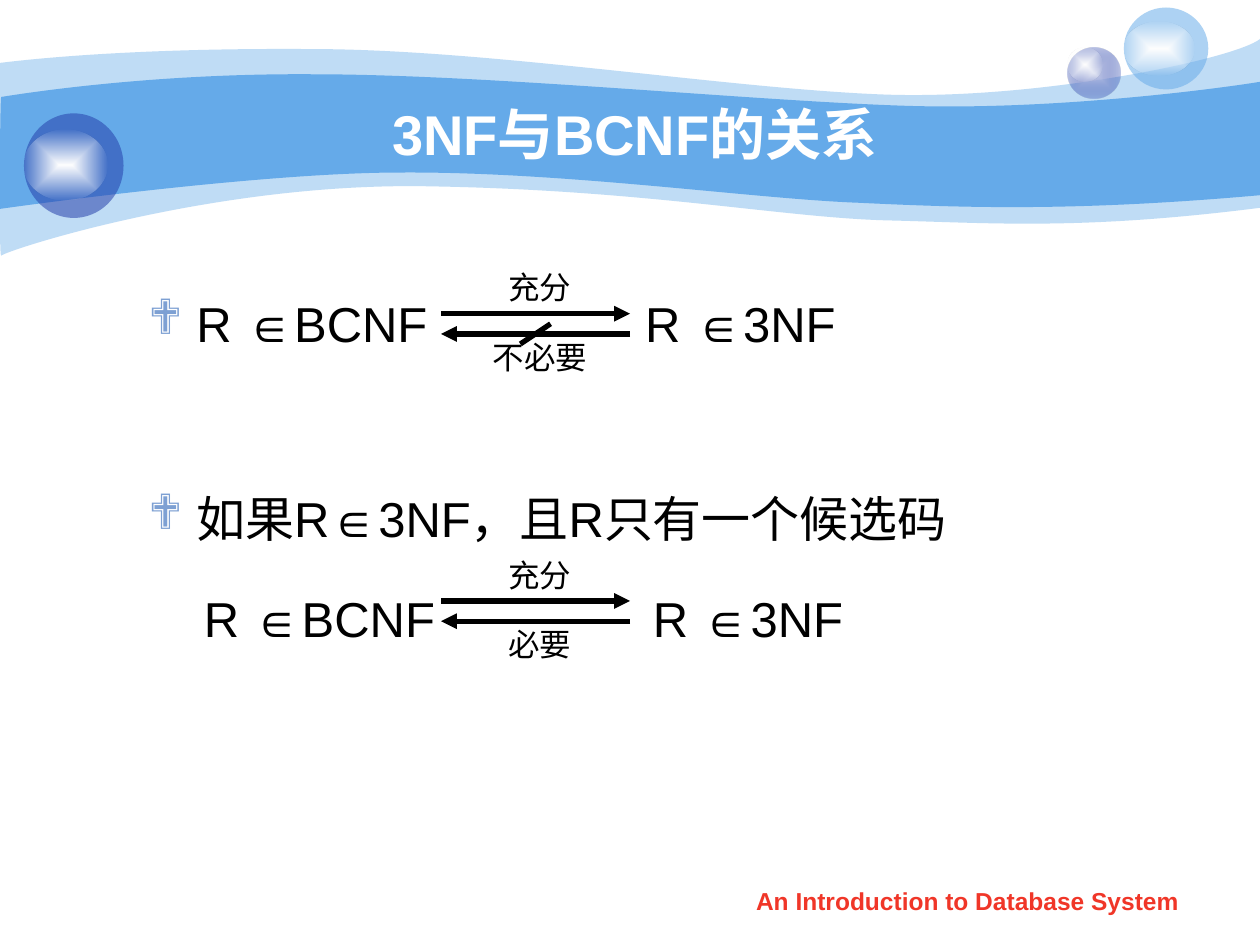
from lxml.etree import SubElement
from pptx import Presentation
from pptx.dml.color import RGBColor
from pptx.enum.shapes import MSO_CONNECTOR as Connector, MSO_SHAPE as Shape
from pptx.enum.text import MSO_ANCHOR as Anchor, PP_ALIGN as Align
from pptx.oxml.ns import qn
from pptx.util import Inches, Pt

SKY = RGBColor(0x65, 0xAA, 0xE9)
NAVY = RGBColor(0x23, 0x3D, 0xA9)
LILAC = RGBColor(0xC7, 0xCE, 0xE9)
BULLET = RGBColor(0x7D, 0xA0, 0xD3)
RED = RGBColor(0xF0, 0x36, 0x28)
WHITE = RGBColor(0xFF, 0xFF, 0xFF)
BLACK = RGBColor(0, 0, 0)
FONT = "Arial"

WAVES = [
    (41, (0, 0.5), [
        (0.24, 0.47, 1.07, 0.38, 2.47, 0.39), (3.86, 0.39, 5.75, 0.7, 6.99, 0.75),
        (8.22, 0.8, 9.8, 0.47, 10, 0.31), (10, 1.65),
        (8.58, 1.83, 7.87, 1.77, 7.05, 1.75), (6.22, 1.73, 5.15, 1.51, 3.43, 1.48),
        (1.72, 1.44, 0.04, 1.99, 0.01, 2.03), (-0.01, 2.08, 0, 0.75, 0, 0.5)]),
    (100, (0.01, 0.77), [
        (0.02, 0.77, 1.1, 0.58, 2.48, 0.59), (3.86, 0.59, 5.95, 0.8, 7.18, 0.84),
        (8.41, 0.88, 9.76, 0.69, 10, 0.65), (10, 1.55),
        (8.53, 1.68, 7.65, 1.65, 6.82, 1.61), (5.99, 1.58, 4.47, 1.36, 3.17, 1.37),
        (2.03, 1.37, -0.02, 1.66, -0.01, 1.66), (0, 1.66, 0, 0.77, 0.01, 0.77)]),
]
GLOW = [(WHITE, 100), (WHITE, 0)]
BUBBLES = [
    ((8.47, 0.38, 0.42, 0.4), [(LILAC, 100), (NAVY, 31)]),
    ((8.47, 0.38, 0.28, 0.27), GLOW),
    ((8.92, 0.06, 0.67, 0.65), [(SKY, 53)]),
    ((8.92, 0.17, 0.56, 0.43), GLOW),
    ((0.19, 0.9, 0.79, 0.83), [(NAVY, 53)]),
    ((0.19, 1.03, 0.66, 0.56), GLOW),
]
TITLE = "3NF与BCNF的关系"
FOOTER = "An Introduction to Database System"
BOTH_SIDES = ("R ∈BCNF", "R ∈3NF")
STATEMENTS = [
    dict(parts=BOTH_SIDES, spacing=1.4, before=7, bullet=True),
    dict(parts=("如果R∈3NF，且R只有一个候选码",), spacing=1.5, before=61, bullet=True),
    dict(parts=BOTH_SIDES, spacing=1.5, before=7, indent=0.44),
]
ARROW_SPACE = Pt(116.7)
IMPLICATIONS = [
    dict(top=2.49, forward="充分", backward="不必要", refuted=True),
    dict(top=4.77, forward="充分", backward="必要", refuted=False),
]
ARROW_LEFT, ARROW_RIGHT, ARROW_GAP = 3.5, 5, 0.16


def add_color(parent, color, alpha=100):
    node = SubElement(parent, qn("a:srgbClr"), val=str(color))
    if alpha < 100:
        SubElement(node, qn("a:alpha"), val=str(alpha * 1000))


def paint(shape, stops):
    shape.shadow.inherit = False
    shape.line.fill.background()
    shape.fill.solid()
    solid = shape._element.spPr.find(qn("a:solidFill"))
    if len(stops) == 1:
        add_color(solid, *stops[0])
        return
    gradient = solid.makeelement(qn("a:gradFill"), rotWithShape="1")
    stop_list = SubElement(gradient, qn("a:gsLst"))
    for position, stop in zip((0, 100000), stops):
        add_color(SubElement(stop_list, qn("a:gs"), pos=str(position)), *stop)
    center = SubElement(gradient, qn("a:path"), path="rect")
    SubElement(center, qn("a:fillToRect"), l="50000", t="50000", r="50000", b="50000")
    solid.getparent().replace(solid, gradient)


def add_wave(page, alpha, start, segments):
    builder = page.shapes.build_freeform(*map(Inches, start), scale=1.0)
    for segment in segments:
        values = [Inches(value) for value in segment]
        builder.add_line_segments(list(zip(values[::2], values[1::2])), close=False)
    wave = builder.convert_to_shape()
    outline = next(wave._element.iter(qn("a:path")))
    vertices = iter(outline.findall(qn("a:lnTo")))
    for segment in segments:
        first = next(vertices)
        if len(segment) == 6:
            curve = outline.makeelement(qn("a:cubicBezTo"))
            outline.replace(first, curve)
            curve.append(first[0])
            for vertex in (next(vertices), next(vertices)):
                curve.append(vertex[0])
                outline.remove(vertex)
    SubElement(outline, qn("a:close"))
    paint(wave, [(SKY, alpha)])


def add_box(page, place, wrap=True, anchor=Anchor.TOP):
    frame = page.shapes.add_textbox(*map(Inches, place)).text_frame
    frame.word_wrap = wrap
    frame.vertical_anchor = anchor
    return frame


def add_span(para, text, size, color=BLACK, bold=False):
    span = para.add_run()
    span.text = text
    span.font.name = FONT
    span.font.size = Pt(size)
    span.font.bold = bold
    span.font.color.rgb = color
    return span


def add_line_text(page, place, text, size, color=BLACK, bold=False, spacing=1.0, **layout):
    para = add_box(page, place, **layout).paragraphs[0]
    para.alignment = Align.CENTER
    para.line_spacing = spacing
    add_span(para, text, size, color, bold)


def fill_statement(para, parts, spacing, before, bullet=False, indent=0.38):
    para.line_spacing = spacing
    para.space_before = Pt(before)
    properties = para._p.get_or_add_pPr()
    properties.set("marL", str(Inches(indent)))
    if bullet:
        properties.set("indent", str(-Inches(indent)))
        add_color(SubElement(properties, qn("a:buClr")), BULLET)
        SubElement(properties, qn("a:buFont"), typeface="Wingdings")
        SubElement(properties, qn("a:buChar"), char="❖")
    for index, part in enumerate(parts):
        if index:
            space = add_span(para, " ", 28)
            space.font._element.set("spc", str(ARROW_SPACE.centipoints))
        add_span(para, part, 28)


def add_stroke(page, start, end, arrow=True):
    stroke = page.shapes.add_connector(Connector.STRAIGHT, *map(Inches, start + end))
    stroke.line.color.rgb = BLACK
    stroke.line.width = Pt(3)
    if arrow:
        SubElement(stroke.line._get_or_add_ln(), qn("a:tailEnd"), type="triangle")
    SubElement(stroke._element.spPr, qn("a:effectLst"))


def add_implication(page, top, forward, backward, refuted):
    low = top + ARROW_GAP
    add_stroke(page, (ARROW_LEFT, top), (ARROW_RIGHT, top))
    add_stroke(page, (ARROW_RIGHT, low), (ARROW_LEFT, low))
    if refuted:
        add_stroke(page, (4.37, low - 0.08), (4.13, low + 0.08), arrow=False)
    for label, label_top in ((forward, top - 0.31), (backward, low + 0.08)):
        add_line_text(page, (ARROW_LEFT, label_top, 1.57, 0.24), label, 18,
                      spacing=0.9, wrap=False, anchor=Anchor.MIDDLE)


def main():
    deck = Presentation()
    deck.slide_width, deck.slide_height = Inches(10), Inches(7.5)
    page = deck.slides.add_slide(deck.slide_layouts[6])
    for wave in WAVES:
        add_wave(page, *wave)
    for place, stops in BUBBLES:
        paint(page.shapes.add_shape(Shape.OVAL, *map(Inches, place)), stops)
    add_line_text(page, (5.71, 6.98, 3.94, 0.35), FOOTER, 14, RED, True)
    add_line_text(page, (1, 0.75, 8.08, 0.62), TITLE, 32, WHITE, True, anchor=Anchor.MIDDLE)
    body = add_box(page, (1.08, 2.09, 8.5, 4.5))
    for index, statement in enumerate(STATEMENTS):
        para = body.add_paragraph() if index else body.paragraphs[0]
        fill_statement(para, **statement)
    for implication in IMPLICATIONS:
        add_implication(page, **implication)
    deck.save("out.pptx")


if __name__ == "__main__":
    main()
